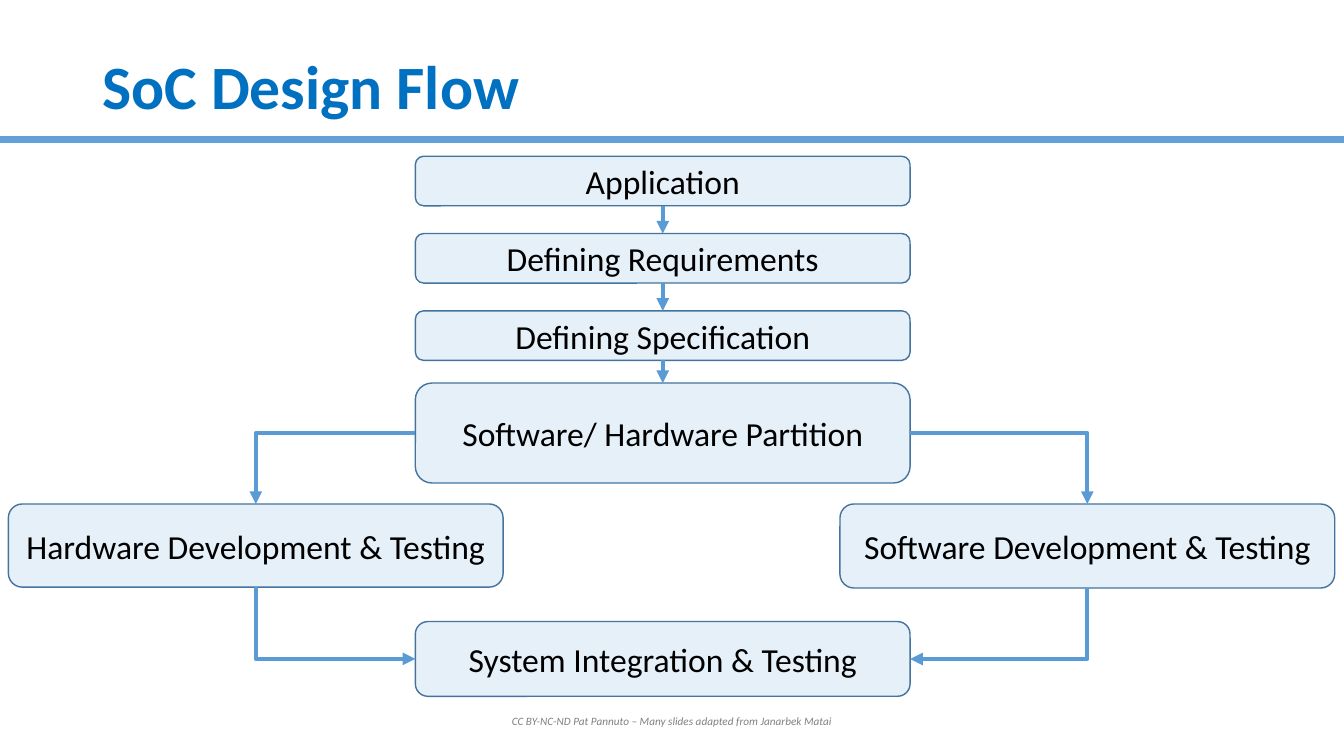
from itertools import pairwise

from lxml.etree import SubElement
from pptx import Presentation
from pptx.dml.color import RGBColor
from pptx.enum.shapes import MSO_CONNECTOR as Link, MSO_SHAPE as Preset
from pptx.enum.text import MSO_ANCHOR as Anchor, PP_ALIGN as Align
from pptx.oxml.ns import qn
from pptx.util import Inches, Pt

COLUMNS, ROWS = 160, 90
WIDTH, HEIGHT = Inches(13.33), Inches(7.5)
TOP, LEFT, BOTTOM, RIGHT = range(4)
BOX_COLUMNS = 58.9
LEFT_LANE, MIDDLE_LANE, RIGHT_LANE = 30.45, 78.9, 129.45
FIRST_ROW, STEP_ROWS, THIN_ROWS = 18.6, 9.2, 5.9


def across(columns):
    return round(WIDTH * columns / COLUMNS)


def down(rows):
    return round(HEIGHT * rows / ROWS)


def area(column, row, columns, rows):
    return across(column), down(row), across(columns), down(rows)


def paint(target, colour):
    target.rgb = RGBColor.from_string(colour)


def write(shape, text, size, colour, align=Align.CENTER, bold=False, italic=False):
    frame = shape.text_frame
    frame.text = text
    frame.word_wrap = True
    frame.vertical_anchor = Anchor.MIDDLE
    para = frame.paragraphs[0]
    para.alignment = align
    font = para.runs[0].font
    font.name, font.size, font.bold, font.italic = "Calibri", Pt(size), bold, italic
    paint(font.color, colour)
    return para


def add_title(page, text):
    title = page.shapes.title
    title.left, title.top, title.width, title.height = area(11, 4.8, 138, 11.8)
    write(title, text, 44, "0070C0", Align.LEFT, bold=True).line_spacing = 0.9


def add_stage(page, text, lane, row, rows=THIN_ROWS):
    place = area(lane - BOX_COLUMNS / 2, row, BOX_COLUMNS, rows)
    box = page.shapes.add_shape(Preset.ROUNDED_RECTANGLE, *place)
    box.shadow.inherit = False
    box.fill.solid()
    paint(box.fill.fore_color, "0070C0")
    tint = box.fill._xPr.find(qn("a:solidFill"))[0]
    SubElement(tint, qn("a:alpha"), val="10000")
    paint(box.line.color, "43739E")
    box.line.width = Pt(1)
    write(box, text, 24, "000000")
    return box


def add_line(page, kind, ends, colour, width):
    line = page.shapes.add_connector(kind, *ends)
    paint(line.line.color, colour)
    line.line.width = Pt(width)
    SubElement(line._element.spPr, qn("a:effectLst"))
    return line


def add_arrow(page, start, start_side, end, end_side, kind=Link.STRAIGHT, tip="a:tailEnd"):
    arrow = add_line(page, kind, (0, 0, 0, 0), "5B9BD5", 3)
    arrow.begin_connect(start, start_side)
    arrow.end_connect(end, end_side)
    if kind == Link.ELBOW:
        arrow._element.spPr.find(qn("a:prstGeom")).set("prst", "bentConnector2")
    SubElement(arrow.line._get_or_add_ln(), qn(tip), type="triangle")


def add_footer(page, text):
    box = page.shapes.add_textbox(*area(53, 83.4, 54, 4.8))
    write(box, text, 8, "808080", italic=True)


def main():
    deck = Presentation()
    deck.slide_width, deck.slide_height = WIDTH, HEIGHT
    page = deck.slides.add_slide(deck.slide_layouts[5])

    add_line(page, Link.STRAIGHT, (WIDTH, down(16.55), 0, down(16.55)), "63A0D7", 5)
    add_title(page, "SoC Design Flow")

    names = ["Application", "Defining Requirements", "Defining Specification"]
    chain = [
        add_stage(page, name, MIDDLE_LANE, FIRST_ROW + index * STEP_ROWS)
        for index, name in enumerate(names)
    ]
    partition = add_stage(page, "Software/ Hardware Partition", MIDDLE_LANE, 45.6, 11.9)
    hardware = add_stage(page, "Hardware Development & Testing", LEFT_LANE, 60, 9.9)
    software = add_stage(page, "Software Development & Testing", RIGHT_LANE, 60, 10)
    integration = add_stage(page, "System Integration & Testing", MIDDLE_LANE, 74, 8.9)

    for upper, lower in pairwise([*chain, partition]):
        add_arrow(page, upper, BOTTOM, lower, TOP)
    for branch, side in ((hardware, LEFT), (software, RIGHT)):
        add_arrow(page, partition, side, branch, TOP, Link.ELBOW)
        add_arrow(page, integration, side, branch, BOTTOM, Link.ELBOW, "a:headEnd")

    add_footer(page, "CC BY-NC-ND Pat Pannuto – Many slides adapted from Janarbek Matai")
    deck.save("out.pptx")


if __name__ == "__main__":
    main()
